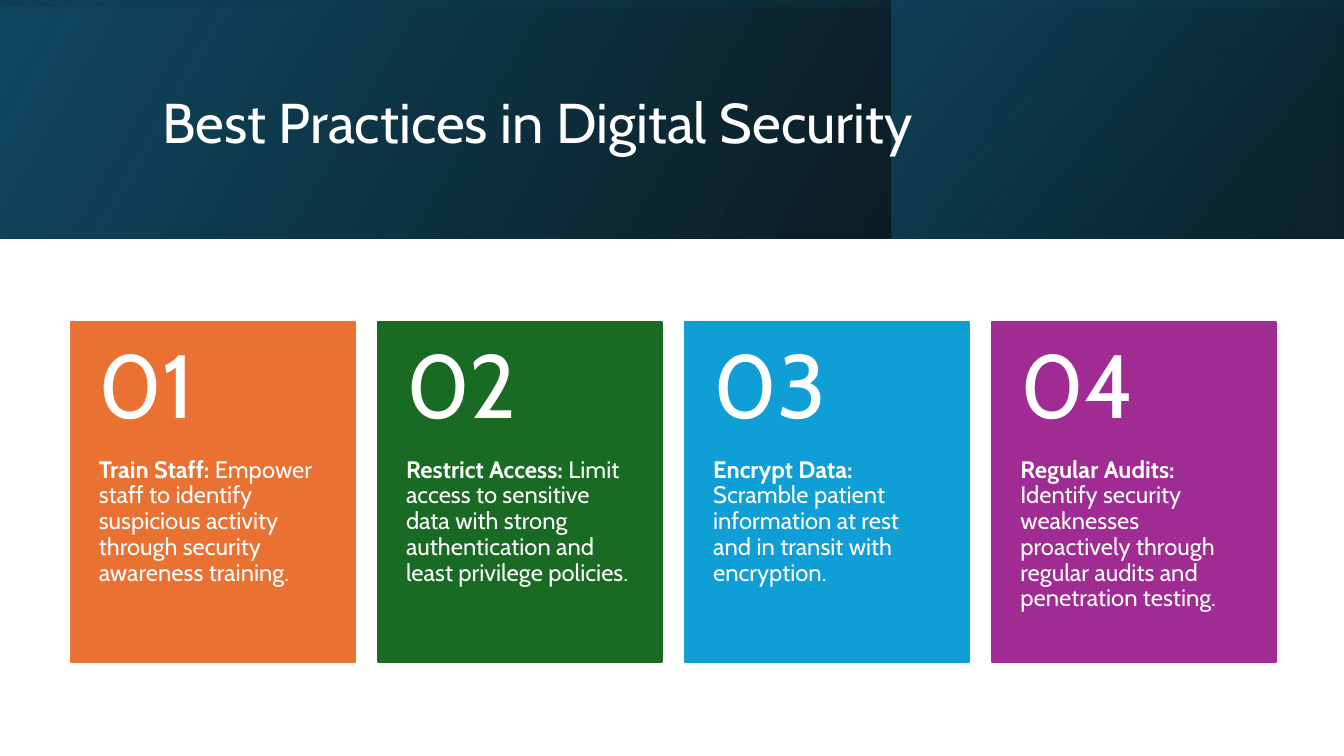
from dataclasses import dataclass

from lxml import etree
from pptx import Presentation
from pptx.dml.color import RGBColor
from pptx.enum.shapes import MSO_SHAPE
from pptx.enum.text import MSO_ANCHOR, MSO_AUTO_SIZE, PP_ALIGN
from pptx.oxml.ns import qn
from pptx.util import Inches, Pt

RECTANGLE = MSO_SHAPE.RECTANGLE
TOP, MIDDLE = MSO_ANCHOR.TOP, MSO_ANCHOR.MIDDLE
LEFT = PP_ALIGN.LEFT
NO_AUTOFIT = MSO_AUTO_SIZE.NONE
TITLE_ONLY = 5


@dataclass(frozen=True)
class Theme:
    font: str = "Cabin"
    text: str = "FFFFFF"
    black: str = "000000"
    navy: str = "104862"
    deep_teal: str = "0B3041"
    teal: str = "156082"
    cards: tuple = ("E97132", "196B24", "0F9ED5", "A02B93")
    title_size: int = 40
    number_size: int = 64
    body_size: int = 17


THEME = Theme()
SLIDE_WIDTH, SLIDE_HEIGHT = 13.33, 7.5
BAND_BOX = (0, 0, SLIDE_WIDTH, 2.37)
CARDS_BOX = (0.7, 3.19, 11.96, 3.38)
CARD_WIDTH = 2.82
NUMBER_HEIGHT = 1.35

TITLE = "Best Practices in Digital Security"
PRACTICES = [
    ("Train Staff:", "Empower staff to identify suspicious activity "
                     "through security awareness training."),
    ("Restrict Access:", "Limit access to sensitive data with strong "
                         "authentication and least privilege policies."),
    ("Encrypt Data:", "Scramble patient information at rest and in "
                      "transit with encryption."),
    ("Regular Audits:", "Identify security weaknesses proactively through "
                        "regular audits and penetration testing."),
]


def place(shape, box):
    shape.left, shape.top, shape.width, shape.height = map(Inches, box)


def write_text(shape, runs, size, anchor=TOP, insets=(0.1, 0.05, 0.1, 0.05)):
    """Fill a shape with one paragraph made of (text, bold) runs."""
    frame = shape.text_frame
    frame.word_wrap = True
    frame.auto_size = NO_AUTOFIT
    frame.vertical_anchor = anchor
    (frame.margin_left, frame.margin_top,
     frame.margin_right, frame.margin_bottom) = map(Inches, insets)
    paragraph = frame.paragraphs[0]
    paragraph.alignment = LEFT
    paragraph.line_spacing = 0.9
    for text, bold in runs:
        run = paragraph.add_run()
        run.text = text
        run.font.name = THEME.font
        run.font.size = Pt(size)
        run.font.bold = bold
        run.font.color.rgb = RGBColor.from_string(THEME.text)


def add_rectangle(shapes, box):
    rectangle = shapes.add_shape(RECTANGLE, *map(Inches, box))
    rectangle.shadow.inherit = False
    return rectangle


def add_gradient(slide, box, stops, angle, rotation=0):
    """Add a mirrored rectangle; stops are (position, colour, opacity) in percent."""
    rectangle = add_rectangle(slide.shapes, box)
    rectangle.rotation = rotation
    rectangle.line.fill.background()
    properties = rectangle._element.spPr
    properties.find(qn("a:xfrm")).set("flipH", "1")
    gradient = etree.Element(qn("a:gradFill"), rotWithShape="1")
    stop_list = etree.SubElement(gradient, qn("a:gsLst"))
    for position, color, opacity in stops:
        stop = etree.SubElement(stop_list, qn("a:gs"), pos=str(position * 1000))
        rgb = etree.SubElement(stop, qn("a:srgbClr"), val=color)
        etree.SubElement(rgb, qn("a:alpha"), val=str(opacity * 1000))
    etree.SubElement(gradient, qn("a:lin"), ang=str(angle * 60000), scaled="0")
    properties.find(qn("a:prstGeom")).addnext(gradient)


def add_title_band(slide, box):
    left, top, width, height = box
    add_gradient(slide, box, [(0, THEME.black, 96), (100, THEME.navy, 100)], 330)
    add_gradient(slide, (left + 8.84, top, 4.48, height),
                 [(19, THEME.deep_teal, 68), (100, THEME.teal, 48)], 320)
    # A quarter turn makes this upright rectangle cover the whole band.
    offset = (width - height) / 2
    add_gradient(slide, (left + offset, top - offset, height, width),
                 [(23, THEME.navy, 16), (99, THEME.black, 45)], 350, rotation=270)

    title = slide.shapes.title
    place(title, (left + 1.51, top + 0.38, 10.63, 1.72))
    write_text(title, [(TITLE, False)], THEME.title_size, anchor=MIDDLE)
    slide.shapes._spTree.append(title._element)


def add_card(slide, box, number, practice, color):
    left, top, width, height = box
    heading, body = practice
    group = slide.shapes.add_group_shape()
    card = add_rectangle(group.shapes, box)
    card.fill.solid()
    card.fill.fore_color.rgb = RGBColor.from_string(color)
    card.line.color.rgb = RGBColor.from_string(color)
    card.line.width = Pt(1.5)

    body_box = (left, top + NUMBER_HEIGHT, width, height - NUMBER_HEIGHT)
    write_text(group.shapes.add_textbox(*map(Inches, body_box)),
               [(heading, True), (" " + body, False)], THEME.body_size,
               insets=(0.28, 0, 0.28, 0.36))
    number_box = (left, top, width, NUMBER_HEIGHT)
    write_text(group.shapes.add_textbox(*map(Inches, number_box)),
               [(f"{number:02}", False)], THEME.number_size, anchor=MIDDLE,
               insets=(0.28, 0.18, 0.28, 0.18))


def add_cards(slide, box):
    left, top, width, height = box
    pitch = (width - CARD_WIDTH) / (len(PRACTICES) - 1)
    for index, (practice, color) in enumerate(zip(PRACTICES, THEME.cards)):
        card_box = (left + index * pitch, top, CARD_WIDTH, height)
        add_card(slide, card_box, index + 1, practice, color)


def main():
    presentation = Presentation()
    presentation.slide_width = Inches(SLIDE_WIDTH)
    presentation.slide_height = Inches(SLIDE_HEIGHT)
    slide = presentation.slides.add_slide(presentation.slide_layouts[TITLE_ONLY])
    add_title_band(slide, BAND_BOX)
    add_cards(slide, CARDS_BOX)
    presentation.save("out.pptx")


if __name__ == "__main__":
    main()
